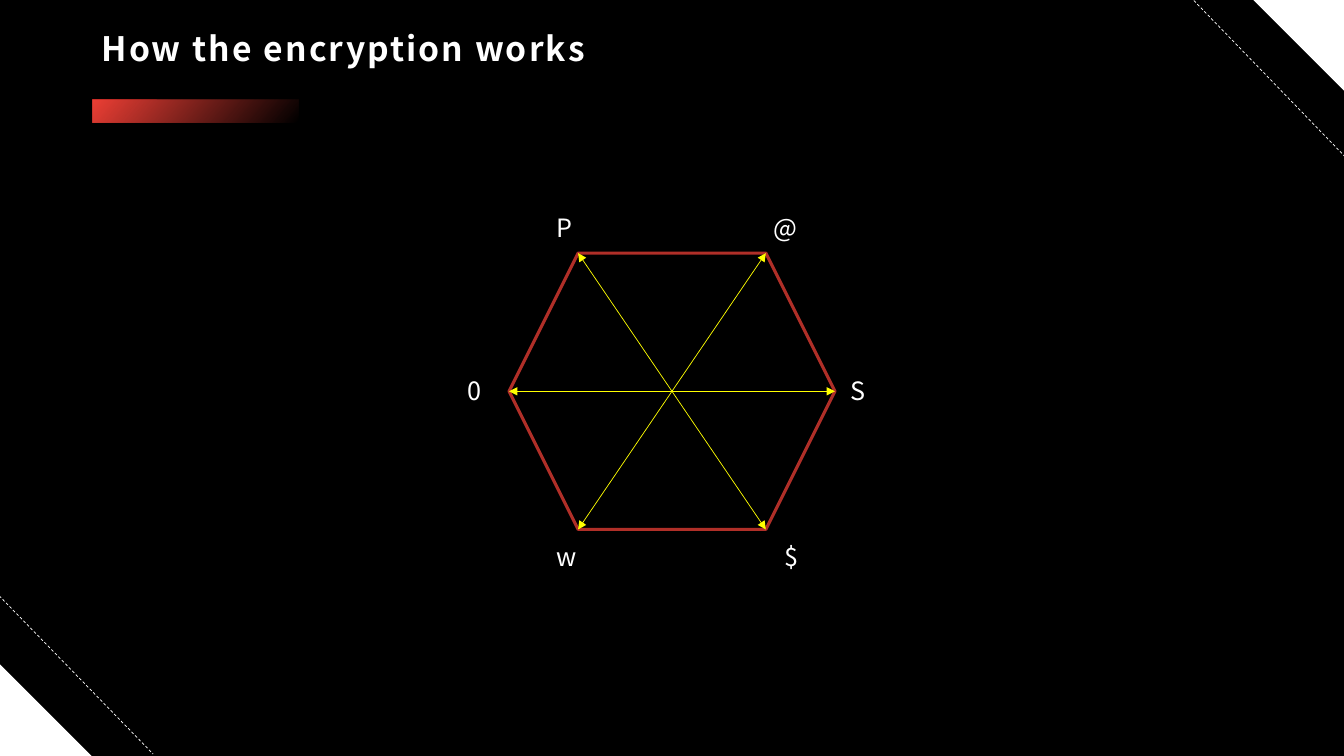
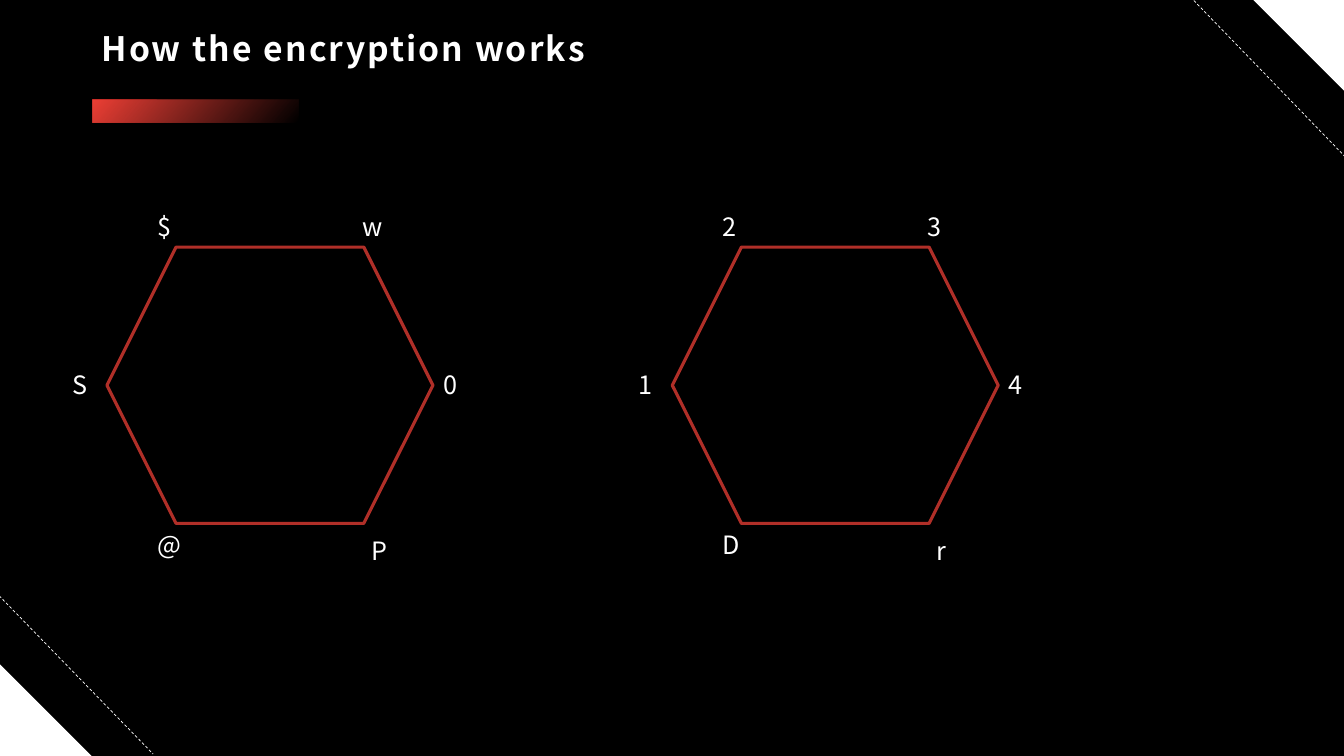
"""Build two slides that explain the encryption with lettered hexagons."""
from lxml.etree import SubElement
from pptx import Presentation
from pptx.dml.color import RGBColor
from pptx.enum.dml import MSO_LINE
from pptx.enum.shapes import MSO_CONNECTOR, MSO_SHAPE
from pptx.enum.text import MSO_ANCHOR, MSO_AUTO_SIZE
from pptx.oxml.ns import qn
from pptx.util import Pt

BLACK = RGBColor(0x00, 0x00, 0x00)
WHITE = RGBColor(0xFF, 0xFF, 0xFF)
RED = RGBColor(0xEE, 0x40, 0x36)
DARK_RED = RGBColor(0xB0, 0x2F, 0x28)
YELLOW = RGBColor(0xFF, 0xFF, 0x00)
TITLE_FONT = "Noto Sans CJK TC"
LABEL_FONT = "Noto Sans CJK JP"

SLIDE_WIDTH, SLIDE_HEIGHT = 960, 540
HEX_WIDTH, HEX_HEIGHT = 232.8, 197.4
HEX_INSET = HEX_HEIGHT / 4
LABEL_SIZE = (36.7, 29)
CORNER_SIZE = 65.5
CORNERS = [(0, SLIDE_HEIGHT - CORNER_SIZE, 0), (SLIDE_WIDTH - CORNER_SIZE, -0.7, 180)]
DASHES = [((-0.7, 425.5), (109.4, 538.6)), ((850.3, -2.2), (960.5, 111.6))]

# Label offsets from the hexagon's corner, clockwise from the top left vertex
WIDE_OFFSETS = [(26.5, -33), (181.5, -33), (237, 84), (190, 202.5), (26.5, 202.5), (-36.5, 84)]
CLOSE_OFFSETS = [(29, -29), (175.5, -29), (233, 83.5), (182, 202.5), (29, 198), (-31.5, 83.5)]

SLIDES = [
    {
        "title": "How the encryption works",
        "offsets": WIDE_OFFSETS,
        "hexagons": [(363.6, 180.8, "P@S$w0")],
        "diagonals": True,
    },
    {
        "title": "How the encryption works",
        "offsets": CLOSE_OFFSETS,
        "hexagons": [(76.4, 176.5, "$w0P@S"), (480.2, 176.5, "234rD1")],
        "diagonals": False,
    },
]


def add_plain_shape(page, preset, left, top, width, height):
    shape = page.shapes.add_shape(preset, Pt(left), Pt(top), Pt(width), Pt(height))
    shape.shadow.inherit = False
    shape.line.fill.background()
    return shape


def add_line(page, start, end, color):
    line = page.shapes.add_connector(
        MSO_CONNECTOR.STRAIGHT, *(Pt(value) for value in (*start, *end)))
    line.line.color.rgb = color
    line.line.width = Pt(0.5)
    SubElement(line._element.spPr, qn("a:effectLst"))
    return line


def add_text(page, text, left, top, width, height, font_name, size):
    box = page.shapes.add_textbox(Pt(left), Pt(top), Pt(width), Pt(height))
    box.text_frame.word_wrap = True
    box.text_frame.text = text
    span = box.text_frame.paragraphs[0].runs[0]
    span.font.name = font_name
    span.font.size = Pt(size)
    span.font.color.rgb = WHITE
    return box, span


def add_frame(page, title):
    page.background.fill.solid()
    page.background.fill.fore_color.rgb = BLACK
    for left, top, rotation in CORNERS:
        corner = add_plain_shape(
            page, MSO_SHAPE.RIGHT_TRIANGLE, left, top, CORNER_SIZE, CORNER_SIZE)
        corner.rotation = rotation
        corner.fill.solid()
        corner.fill.fore_color.rgb = WHITE
    for start, end in DASHES:
        add_line(page, start, end, WHITE).line.dash_style = MSO_LINE.DASH

    bar = add_plain_shape(page, MSO_SHAPE.RECTANGLE, 66, 70.9, 147, 16.8)
    bar.fill.gradient()
    bar.fill.gradient_angle = 320
    for stop, position in zip(bar.fill.gradient_stops, (0, 0.99)):
        stop.color.rgb = RED
        stop.position = position
    faded = bar._element.xpath(".//a:gs[2]/a:srgbClr")[0]
    SubElement(faded, qn("a:alpha"), val="0")

    box, span = add_text(page, title, 65.5, 13, 828.7, 46, TITLE_FONT, 24)
    box.text_frame.vertical_anchor = MSO_ANCHOR.MIDDLE
    box.text_frame.paragraphs[0].line_spacing = 0.9
    span.font.bold = True
    span._r.get_or_add_rPr().set("spc", "150")


def add_hexagon(page, left, top, letters, offsets):
    hexagon = add_plain_shape(page, MSO_SHAPE.HEXAGON, left, top, HEX_WIDTH, HEX_HEIGHT)
    hexagon.fill.background()
    hexagon.line.color.rgb = DARK_RED
    hexagon.line.width = Pt(2.25)
    for letter, (across, down) in zip(letters, offsets):
        box, _ = add_text(page, letter, left + across, top + down, *LABEL_SIZE, LABEL_FONT, 18)
        box.text_frame.auto_size = MSO_AUTO_SIZE.SHAPE_TO_FIT_TEXT


def add_diagonals(page, left, top):
    right, bottom, middle = left + HEX_WIDTH, top + HEX_HEIGHT, top + HEX_HEIGHT / 2
    near, far = left + HEX_INSET, right - HEX_INSET
    for start, end in [
        ((near, top), (far, bottom)),
        ((near, bottom), (far, top)),
        ((left, middle), (right, middle)),
    ]:
        outline = add_line(page, start, end, YELLOW).line._get_or_add_ln()
        for tag in ("a:headEnd", "a:tailEnd"):
            SubElement(outline, qn(tag), type="triangle")


def main():
    deck = Presentation()
    deck.slide_width, deck.slide_height = Pt(SLIDE_WIDTH), Pt(SLIDE_HEIGHT)
    for content in SLIDES:
        page = deck.slides.add_slide(deck.slide_layouts[6])
        add_frame(page, content["title"])
        for left, top, letters in content["hexagons"]:
            add_hexagon(page, left, top, letters, content["offsets"])
            if content["diagonals"]:
                add_diagonals(page, left, top)
    deck.save("out.pptx")


if __name__ == "__main__":
    main()
